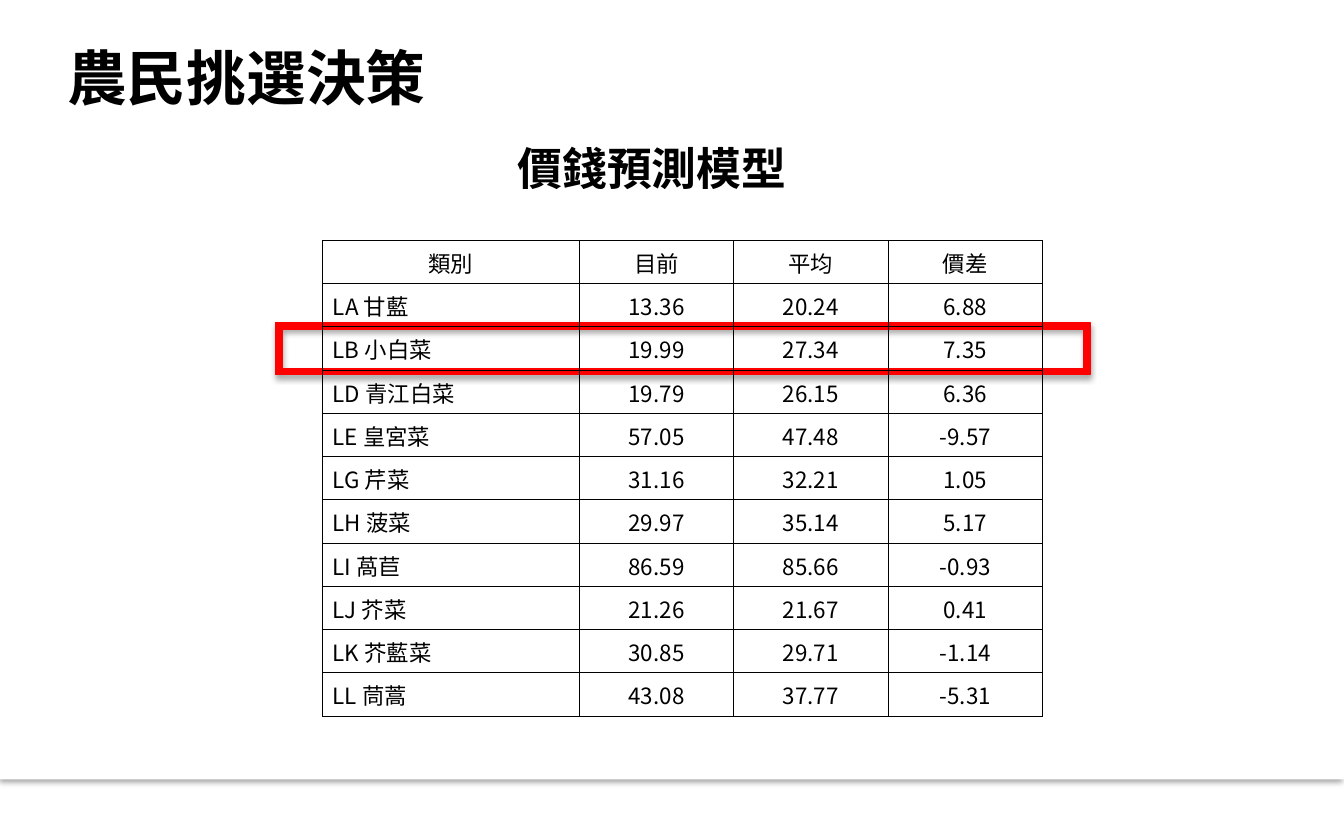
from dataclasses import dataclass

from lxml.etree import SubElement
from pptx import Presentation
from pptx.dml.color import RGBColor as RGB
from pptx.enum.shapes import MSO_SHAPE as SHAPE
from pptx.enum.text import MSO_ANCHOR as ANCHOR, PP_ALIGN as ALIGN
from pptx.oxml.ns import qn
from pptx.util import Pt


@dataclass(frozen=True)
class Theme:
    """Colours, fonts and type sizes."""
    ink: str = "000000"
    paper: str = "FFFFFF"
    mark: str = "FF0000"
    head_font: str = "Noto Sans CJK SC"
    body_font: str = "Noto Sans CJK TC"
    title: int = 32
    subtitle: int = 24
    body: int = 12


T = Theme()
HEADER = ("類別", "目前", "平均", "價差")
PRICES = (
    ("LA 甘藍", "13.36", "20.24", "6.88"),
    ("LB 小白菜", "19.99", "27.34", "7.35"),
    ("LD 青江白菜", "19.79", "26.15", "6.36"),
    ("LE 皇宮菜", "57.05", "47.48", "-9.57"),
    ("LG 芹菜", "31.16", "32.21", "1.05"),
    ("LH 菠菜", "29.97", "35.14", "5.17"),
    ("LI 萵苣", "86.59", "85.66", "-0.93"),
    ("LJ 芥菜", "21.26", "21.67", "0.41"),
    ("LK 芥藍菜", "30.85", "29.71", "-1.14"),
    ("LL 茼蒿", "43.08", "37.77", "-5.31"),
)


def add_run(p, text, font, size, bold=False):
    """Add one styled run with matching Latin and East Asian fonts."""
    r = p.add_run()
    r.text = text
    r.font.size, r.font.bold, r.font.name = Pt(size), bold, font
    r.font.color.rgb = RGB.from_string(T.ink)
    SubElement(r.font._element, qn("a:ea"), typeface=font)


def add_heading(s, text, box, size):
    """Add a bold centred heading."""
    tf = s.shapes.add_textbox(*map(Pt, box)).text_frame
    tf.word_wrap = True
    tf.vertical_anchor = ANCHOR.MIDDLE
    tf.margin_top = tf.margin_bottom = 0
    p = tf.paragraphs[0]
    p.alignment = ALIGN.CENTER
    add_run(p, text, T.head_font, size, bold=True)


def add_shadowed(s, kind, box, fill, line=None):
    """Add a filled shape with a soft shadow below it."""
    sp = s.shapes.add_shape(kind, *map(Pt, box))
    sp.fill.solid()
    sp.fill.fore_color.rgb = RGB.from_string(fill)
    if line:
        sp.line.color.rgb = RGB.from_string(line)
        sp.line.width = Pt(0.75)
    else:
        sp.line.fill.background()
    sp.shadow.inherit = False
    effects = sp._element.spPr.find(qn("a:effectLst"))
    shadow = SubElement(effects, qn("a:outerShdw"), blurRad=str(Pt(3.1)),
                        dist=str(Pt(1.8)), dir="5400000", rotWithShape="0")
    color = SubElement(shadow, qn("a:srgbClr"), val=T.ink)
    SubElement(color, qn("a:alpha"), val="35000")


def add_borders(cell):
    """Draw a thin line on all four sides of a cell."""
    tc_pr = cell._tc.get_or_add_tcPr()
    for side in ("lnL", "lnR", "lnT", "lnB"):
        ln = SubElement(tc_pr, qn(f"a:{side}"), w=str(Pt(0.5)))
        fill = SubElement(ln, qn("a:solidFill"))
        SubElement(fill, qn("a:srgbClr"), val=T.ink)


def fill_cell(cell, text, is_name):
    """Write and style one table cell."""
    cell.margin_left = Pt(5.5 if is_name else 0.7)
    cell.margin_right = cell.margin_top = Pt(0.7)
    cell.margin_bottom = 0
    cell.vertical_anchor = ANCHOR.MIDDLE
    add_borders(cell)
    cell.fill.background()
    p = cell.text_frame.paragraphs[0]
    p.alignment = ALIGN.LEFT if is_name else ALIGN.CENTER
    add_run(p, text, T.body_font, T.body)


def add_price_table(s, left, top, widths, row_height):
    """Add the price table with a header row."""
    rows = (HEADER, *PRICES)
    frame = s.shapes.add_table(len(rows), len(widths), Pt(left), Pt(top),
                               Pt(sum(widths)), Pt(row_height * len(rows)))
    table = frame.table
    table.first_row = table.horz_banding = False
    for column, width in zip(table.columns, widths):
        column.width = Pt(width)
    for i, row in enumerate(rows):
        table.rows[i].height = Pt(row_height)
        for j, text in enumerate(row):
            fill_cell(table.cell(i, j), text, is_name=i > 0 and j == 0)


def main():
    """Build and save the slide."""
    prs = Presentation()
    prs.slide_width, prs.slide_height = Pt(720), Pt(450)
    s = prs.slides.add_slide(prs.slide_layouts[6])
    add_shadowed(s, SHAPE.RECTANGLE, (0, 0, 720, 417.6), T.paper)
    add_heading(s, "價錢預測模型", (265, 72, 168.5, 36), T.subtitle)
    add_shadowed(s, SHAPE.FRAME, (147.6, 172.8, 436.3, 28), T.mark, T.mark)
    add_heading(s, "農民挑選決策", (18, 18, 228.2, 46), T.title)
    add_price_table(s, 172.8, 128.8, (137.6, 82.7, 82.7, 82.7), 23.18)
    prs.save("out.pptx")


main()
